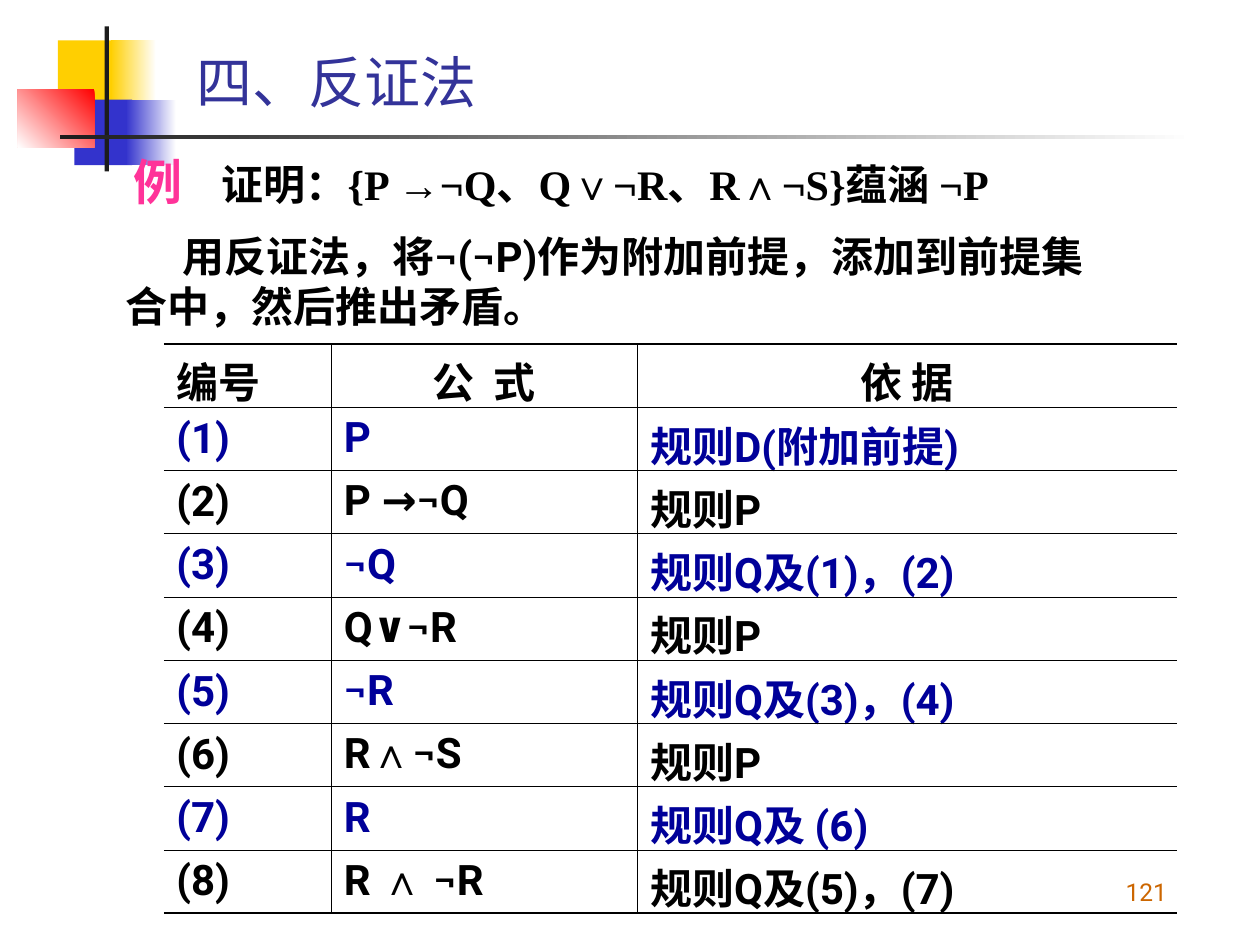
import lxml.etree
import pptx
import pptx.dml.color
import pptx.enum.shapes
import pptx.enum.text
import pptx.oxml.ns
import pptx.util

COLORS = {
    "black": "000000", "white": "FFFFFF", "ink": "1C1C1C", "yellow": "FFCF01",
    "blue": "3333CC", "red": "FF0000", "title": "333399", "pink": "FF3399",
    "step": "000099", "number": "CC6600",
}
COLUMNS, ROWS = 100, 75
UNIT = pptx.util.Inches(10) / COLUMNS
BODY, SERIF, SYMBOL = "Roboto", "Times New Roman", "Arial"
THIN, THICK = 0.45, 1.08
ALIGN = pptx.enum.text.PP_ALIGN
ANCHOR = pptx.enum.text.MSO_ANCHOR

MOTIF = [
    ((4.6, 3.2, 4.8, 5.2), ["yellow"], 0),
    ((8.8, 3.2, 3.6, 5.2), ["white", "yellow"], 180),
    ((5.9, 7.9, 4.6, 5.2), ["blue"], 0),
    ((10, 7.9, 4, 5.2), ["white", "blue"], 180),
    ((1.4, 7.1, 6.1, 4.6), ["red", "white"], 225),
    ((8.3, 2.1, 0.35, 11.5), ["ink"], 0),
    ((4.8, 10.7, 90, 0.3), ["white", "ink"], 180),
]
PROOF = [
    ("编号", "公  式", "依 据"),
    ("(1)", "P", "规则D(附加前提)"),
    ("(2)", "P →¬Q", "规则P"),
    ("(3)", "¬Q", "规则Q及(1)，(2)"),
    ("(4)", "Q∨¬R", "规则P"),
    ("(5)", "¬R", "规则Q及(3)，(4)"),
    ("(6)", "R∧¬S", "规则P"),
    ("(7)", "R", "规则Q及 (6)"),
    ("(8)", "R ∧ ¬R", "规则Q及(5)，(7)"),
]
PROOF_WIDTHS = (13.3, 24.3, 42.8)


def grid(*lengths):
    """Turn grid units into slide lengths."""
    return [pptx.util.Emu(round(length * UNIT)) for length in lengths]


def color(name):
    """Return the palette colour of that name."""
    return pptx.dml.color.RGBColor.from_string(COLORS[name])


def add_block(slide, area, tones, angle):
    """Add a borderless rectangle in one tone or a two-tone gradient."""
    block = slide.shapes.add_shape(pptx.enum.shapes.MSO_SHAPE.RECTANGLE, *grid(*area))
    block.shadow.inherit = False
    block.line.fill.background()
    if len(tones) == 1:
        block.fill.solid()
        block.fill.fore_color.rgb = color(tones[0])
        return
    block.fill.gradient()
    block.fill.gradient_angle = angle
    for stop, tone in zip(block.fill.gradient_stops, tones):
        stop.color.rgb = color(tone)


def add_run(paragraph, text, size, tone, face=BODY, bold=True):
    """Append one formatted run."""
    run = paragraph.add_run()
    run.text = text
    run.font.size = pptx.util.Pt(size)
    run.font.name = face
    run.font.bold = bold
    run.font.color.rgb = color(tone)


def add_formula(paragraph, text, tone, face=BODY):
    """Append text whose conjunction sign takes the symbol face."""
    for part, part_face in zip(text.partition("∧"), (face, SYMBOL, face)):
        if part:
            add_run(paragraph, part, 24, tone, part_face)


def add_text(slide, area, anchor=ANCHOR.TOP):
    """Add a wrapping text box and return its first paragraph."""
    frame = slide.shapes.add_textbox(*grid(*area)).text_frame
    frame.word_wrap = True
    frame.vertical_anchor = anchor
    return frame.paragraphs[0]


def add_tab(paragraph, position):
    """Give the paragraph a left tab stop."""
    tabs = lxml.etree.SubElement(
        paragraph._p.get_or_add_pPr(), pptx.oxml.ns.qn("a:tabLst"))
    lxml.etree.SubElement(
        tabs, pptx.oxml.ns.qn("a:tab"), pos=str(grid(position)[0]), algn="l")


def set_borders(cell, widths):
    """Draw the left, right, top and bottom borders, zero meaning none."""
    qn = pptx.oxml.ns.qn
    properties = cell._tc.get_or_add_tcPr()
    for index, (side, width) in enumerate(zip("LRTB", widths)):
        line = lxml.etree.Element(qn(f"a:ln{side}"), w=str(pptx.util.Pt(width)))
        if width:
            fill = lxml.etree.SubElement(line, qn("a:solidFill"))
            lxml.etree.SubElement(fill, qn("a:srgbClr"), val=COLORS["black"])
        else:
            lxml.etree.SubElement(line, qn("a:noFill"))
        properties.insert(index, line)


def add_proof(slide):
    """Add the table of numbered proof steps."""
    last_row, last_column = len(PROOF) - 1, len(PROOF_WIDTHS) - 1
    table = slide.shapes.add_table(
        len(PROOF), len(PROOF_WIDTHS), *grid(13, 27.3, sum(PROOF_WIDTHS), 45.2)).table
    table.first_row = table.horz_banding = False
    for column, width in zip(table.columns, grid(*PROOF_WIDTHS)):
        column.width = width
    for r, step in enumerate(PROOF):
        for c, text in enumerate(step):
            cell = table.cell(r, c)
            cell.fill.background()
            cell.vertical_anchor = ANCHOR.TOP if c else ANCHOR.MIDDLE
            set_borders(cell, (
                THIN if c else 0,
                THIN if c < last_column else 0,
                THIN if r else THICK,
                THIN if r < last_row else THICK,
            ))
            paragraph = cell.text_frame.paragraphs[0]
            paragraph.alignment = ALIGN.CENTER if r == 0 and c else ALIGN.LEFT
            add_formula(paragraph, text, "step" if r % 2 else "black")


def add_statement(slide):
    """Add the claim to prove and the method used."""
    claim = add_text(slide, (9.6, 11.5, 72.8, 5.7))
    add_tab(claim, 7)
    add_run(claim, "例\t", 28, "pink", SERIF)
    add_formula(claim, "证明：{P →¬Q、Q∨¬R、R∧¬S}蕴涵 ¬P", "black", SERIF)
    method = add_text(slide, (9, 17.8, 81.1, 9))
    method._p.get_or_add_pPr().set("indent", str(grid(4.5)[0]))
    add_run(method, "用反证法，将¬(¬P)作为附加前提，添加到前提集合中，然后推出矛盾。", 24, "black")


def main():
    """Build the slide and save it."""
    deck = pptx.Presentation()
    deck.slide_width, deck.slide_height = grid(COLUMNS, ROWS)
    slide = deck.slides.add_slide(deck.slide_layouts[6])
    for area, tones, angle in MOTIF:
        add_block(slide, area, tones, angle)
    add_statement(slide)
    add_proof(slide)
    title = add_text(slide, (14.6, 3, 80.4, 6.9), ANCHOR.MIDDLE)
    add_run(title, "四、反证法", 32, "title", bold=False)
    number = add_text(slide, (72.8, 67.4, 20.8, 5), ANCHOR.BOTTOM)
    number.alignment = ALIGN.RIGHT
    add_run(number, "121", 14, "number", bold=False)
    deck.save("out.pptx")


if __name__ == "__main__":
    main()
